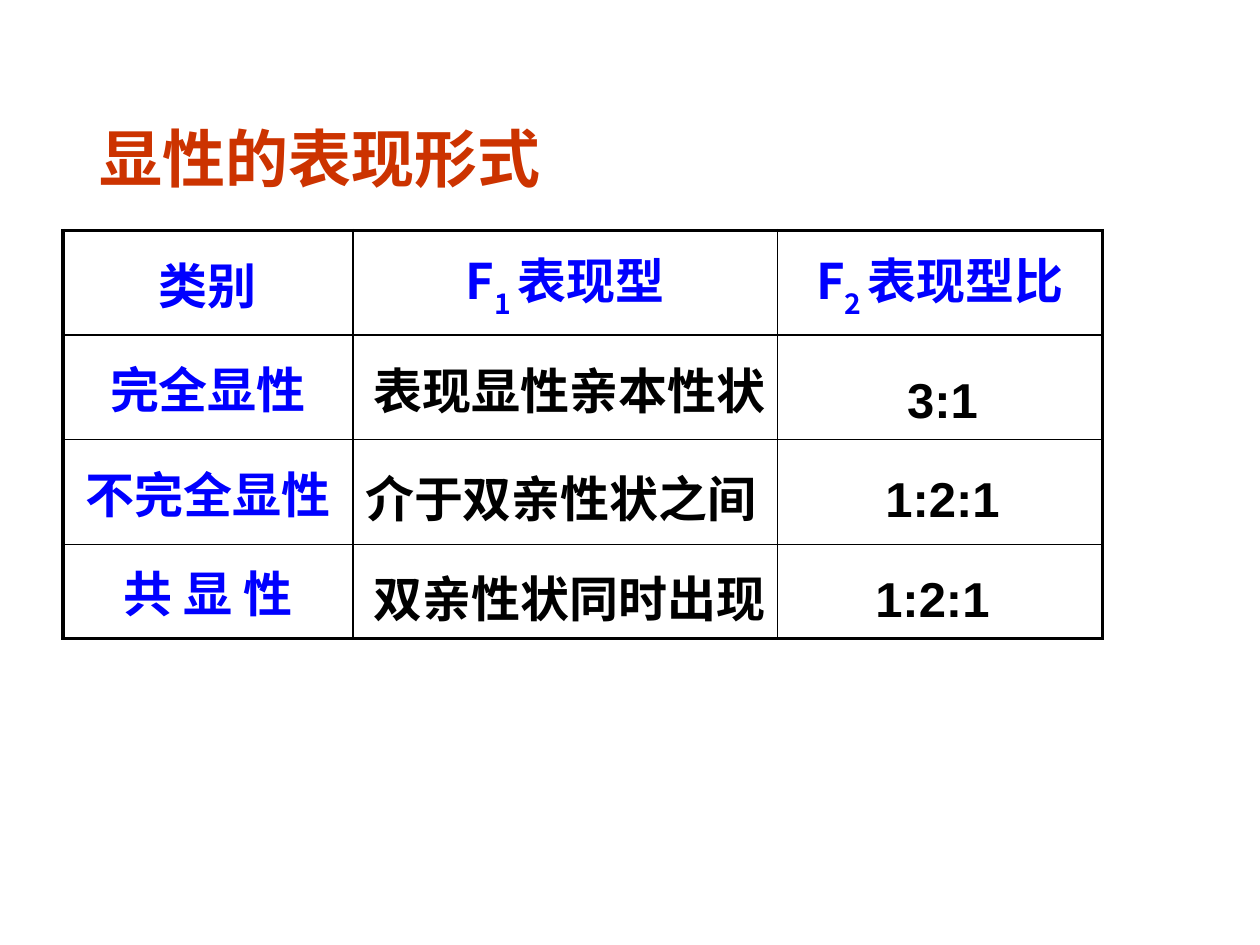
import pptx
import pptx.util
import pptx.dml.color
import pptx.enum.text
import pptx.oxml
import pptx.oxml.ns
from lxml import etree

# Slide grid: 100 columns by 75 rows
WIDE, HIGH = pptx.util.Inches(10), pptx.util.Inches(7.5)
UNIT = WIDE // 100
SANS, SERIF, LATIN = "Noto Sans CJK SC", "Times New Roman", "Arial"
BLUE, BLACK, RED = "0000FF", "000000", "CC3300"
THICK, THIN = 2.25, 1
MIDDLE = pptx.enum.text.MSO_ANCHOR.MIDDLE
CENTER = pptx.enum.text.PP_ALIGN.CENTER
LEFT = pptx.enum.text.PP_ALIGN.LEFT

COLS = [23, 33.7, 25.8]
ROWS = [8.3, 8.3, 8.3, 7.5]
# Each label is a list of (text, baseline shift in percent)
HEAD = [
    [("类别", 0)],
    [("F", 0), ("1 ", -30), ("表现型", 0)],
    [("F", 0), ("2 ", -30), ("表现型比", 0)],
]
KINDS = ["完全显性", "不完全显性", "共 显 性"]
# Text, box on the grid, font, alignment, space before in percent
NOTES = [
    ("表现显性亲本性状", (28.7, 28.1, 34.7, 5.7), SANS, LEFT, 50),
    ("介于双亲性状之间", (28, 36.7, 34.6, 5.7), SANS, LEFT, 20),
    ("双亲性状同时出现", (28.7, 44.6, 34.7, 5.7), SANS, LEFT, 20),
    ("3:1", (63.4, 28.8, 22.8, 5.7), LATIN, CENTER, 20),
    ("1:2:1", (62.6, 36.7, 24.4, 5.7), LATIN, CENTER, 20),
    ("1:2:1", (61.8, 44.6, 24.4, 5.7), LATIN, CENTER, 20),
]


def color(code):
    return pptx.dml.color.RGBColor.from_string(code)


def grid(*nums):
    return [round(n * UNIT) for n in nums]


def sub(node, tag, **attrs):
    return etree.SubElement(node, pptx.oxml.ns.qn(tag), attrs)


def write(frame, runs, size, font, tint, align=LEFT, gap=0):
    """Fill the first paragraph of a text frame with styled runs."""
    para = frame.paragraphs[0]
    para.alignment = align
    if gap:
        before = sub(para._p.get_or_add_pPr(), "a:spcBef")
        sub(before, "a:spcPct", val=str(gap * 1000))
    for text, shift in runs:
        run = para.add_run()
        run.text = text
        look = {"size": pptx.util.Pt(size), "bold": True, "name": font}
        for key, value in look.items():
            setattr(run.font, key, value)
        run.font.color.rgb = color(tint)
        props = run._r.get_or_add_rPr()
        sub(props, "a:ea", typeface=SANS)
        if shift:
            props.set("baseline", str(shift * 1000))
    return para


def add_box(slide, box):
    frame = slide.shapes.add_textbox(*grid(*box)).text_frame
    frame.word_wrap = True
    return frame


def edge(cell, sides):
    """Draw the cell borders, given as side: width in points."""
    props = cell._tc.get_or_add_tcPr()
    for spot, (side, width) in enumerate(sides.items()):
        line = etree.Element(pptx.oxml.ns.qn("a:ln" + side),
                             w=str(pptx.util.Pt(width)))
        sub(sub(line, "a:solidFill"), "a:srgbClr", val=BLACK)
        props.insert(spot, line)


def add_title(slide, box):
    frame = add_box(slide, box)
    frame.vertical_anchor = MIDDLE
    para = write(frame, [("显性的表现形式", 0)], 36, SERIF, RED)
    para.line_spacing = 0.9


def add_chart_of_types(slide, left, top):
    """Ruled table with a heading row and a heading column."""
    box = grid(left, top, sum(COLS), sum(ROWS))
    table = slide.shapes.add_table(len(ROWS), len(COLS), *box).table
    table.first_row = table.horz_banding = False
    for col, size in zip(table.columns, grid(*COLS)):
        col.width = size
    for row, size in zip(table.rows, grid(*ROWS)):
        row.height = size

    labels = {(0, c): runs for c, runs in enumerate(HEAD)}
    labels.update({(r, 0): [(kind, 0)] for r, kind in enumerate(KINDS, 1)})
    for r in range(len(ROWS)):
        for c in range(len(COLS)):
            cell = table.cell(r, c)
            cell.fill.background()
            cell.vertical_anchor = MIDDLE
            edge(cell, {
                "L": THICK if c == 0 else THIN,
                "R": THICK if c == len(COLS) - 1 else THIN,
                "T": THICK if r == 0 else THIN,
                "B": THICK if r == len(ROWS) - 1 else THIN,
            })
            if (r, c) in labels:
                write(cell.text_frame, labels[r, c], 28, SANS, BLUE, CENTER, 20)


def add_notes(slide, notes):
    for text, box, font, align, gap in notes:
        frame = add_box(slide, box)
        frame.auto_size = pptx.enum.text.MSO_AUTO_SIZE.SHAPE_TO_FIT_TEXT
        write(frame, [(text, 0)], 28, font, BLACK, align, gap)


def main():
    deck = pptx.Presentation()
    deck.slide_width, deck.slide_height = WIDE, HIGH
    slide = deck.slides.add_slide(deck.slide_layouts[6])
    add_title(slide, (6.9, 7.2, 86.2, 11.3))
    add_chart_of_types(slide, 5, 18.3)
    add_notes(slide, NOTES)
    deck.save("out.pptx")


if __name__ == "__main__":
    main()
